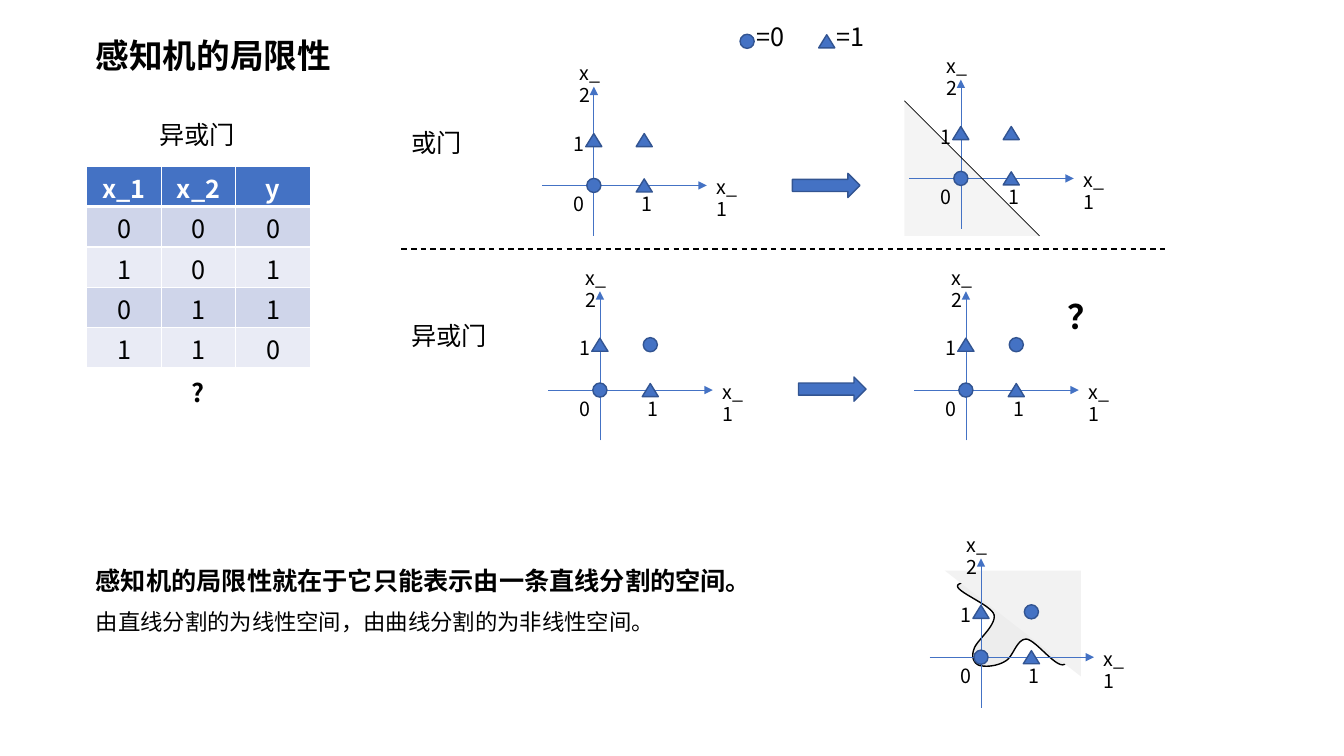
from dataclasses import dataclass
from typing import Any

from lxml import etree
from pptx import Presentation
from pptx.dml.color import RGBColor
from pptx.enum.dml import MSO_LINE
from pptx.enum.shapes import MSO_CONNECTOR, MSO_SHAPE
from pptx.enum.text import MSO_ANCHOR, MSO_AUTO_SIZE, PP_ALIGN
from pptx.oxml.ns import qn
from pptx.util import Inches, Pt

FONT = "Noto Sans CJK SC"
COLORS = {"blue": "4472C4", "edge": "325491", "black": "000000", "white": "FFFFFF",
          "band": "CFD5EA", "pale": "E9EBF5", "shade": "F2F2F2", "curve": "EDEDED"}
CIRCLE, TRIANGLE = MSO_SHAPE.OVAL, MSO_SHAPE.ISOSCELES_TRIANGLE
CORNER, ARROW = MSO_SHAPE.RIGHT_TRIANGLE, MSO_SHAPE.RIGHT_ARROW
STRAIGHT, DASH = MSO_CONNECTOR.STRAIGHT, MSO_LINE.DASH
LEFT, CENTER, TOP = PP_ALIGN.LEFT, PP_ALIGN.CENTER, MSO_ANCHOR.TOP
NO_FIT = MSO_AUTO_SIZE.NONE
SIZES = {CIRCLE: (0.14, 0.14), TRIANGLE: (0.16, 0.13)}
UNIT_X, UNIT_Y = 0.5, 0.45


@dataclass
class Label:
    """A text and its box, in inches."""
    text: str
    left: float
    top: float
    width: float
    height: float = 0.4
    size: int = 18
    bold: bool = False


@dataclass
class Plot:
    """A gate drawn on two axes around an origin."""
    x: float
    y: float
    corner: Any  # marker at (1, 1)


AXIS_LABELS = [Label("x_1", 1.12, -0.17, 0.47), Label("x_2", -0.24, -1.3, 0.47),
               Label("1", -0.3, -0.6, 0.31), Label("0", -0.3, 0, 0.31),
               Label("1", 0.37, 0, 0.31)]
LABELS = [Label("异或门", 1.48, 1.13, 0.96), Label("?", 1.8, 3.69, 0.31, bold=True),
          Label("或门", 3.98, 1.21, 0.71), Label("异或门", 3.98, 3.13, 0.96)]
LEGEND = [Label("=0", 7.41, 0.16, 0.5), Label("=1", 8.2, 0.16, 0.5)]
TRUTH_TABLE = ["x_1 x_2 y", "0 0 0", "1 0 1", "0 1 1", "1 1 0"]
CURVE_START = (9.52, 5.79)
CURVE = [((9.39, 5.84), (9.83, 5.99), (9.86, 6.1)), ((9.88, 6.21), (9.68, 6.36), (9.66, 6.44)),
         ((9.63, 6.52), (9.66, 6.58), (9.71, 6.6)), ((9.77, 6.62), (9.89, 6.61), (9.97, 6.56)),
         ((10.05, 6.52), (10.08, 6.34), (10.18, 6.34)), ((10.28, 6.35), (10.5, 6.67), (10.57, 6.58)),
         ((10.64, 6.49), (10.77, 5.95), (10.6, 5.82)), ((10.42, 5.69), (9.64, 5.74), CURVE_START)]


def rgb(name: str) -> RGBColor:
    """Look up a colour."""
    return RGBColor.from_string(COLORS[name])


def apply(target: Any, values: dict[str, Any]) -> None:
    """Set attributes from a dict of values."""
    for name, value in values.items():
        setattr(target, name, value)


def write(para: Any, text: str, size: int, bold: bool = False, color: str = "black",
          align: Any = LEFT, spacing: Any = None) -> None:
    """Fill a paragraph with one formatted span."""
    apply(para, {"alignment": align, "line_spacing": spacing, "space_before": Pt(0)})
    span = para.add_run()
    span.text = text
    apply(span.font, {"size": Pt(size), "bold": bold, "name": FONT})
    span.font.color.rgb = rgb(color)
    etree.SubElement(span.font._element, qn("a:ea")).set("typeface", FONT)


def place(box: Any, left: float, top: float, width: float, height: float) -> None:
    """Move and size a box."""
    apply(box, {"left": Inches(left), "top": Inches(top),
                "width": Inches(width), "height": Inches(height)})


def add_label(shapes: Any, label: Label) -> None:
    """Add one line of text."""
    box = shapes.add_textbox(0, 0, 0, 0)
    place(box, label.left, label.top, label.width, label.height)
    box.text_frame.word_wrap = False
    write(box.text_frame.paragraphs[0], label.text, label.size, label.bold)


def add_axis_label(shapes: Any, label: Label, plot: Plot) -> None:
    """Add a small wrapping label beside an axis."""
    box = shapes.add_textbox(0, 0, 0, 0)
    place(box, plot.x + label.left, plot.y + label.top, label.width, 0.34)
    apply(box.text_frame, {"word_wrap": True, "margin_top": Inches(0.08)})
    write(box.text_frame.paragraphs[0], label.text, 14, spacing=Pt(15.7))


def paint(shape: Any, fill: str, edge: str | None = None) -> None:
    """Give a shape its fill and outline."""
    shape.shadow.inherit = False
    shape.fill.solid()
    shape.fill.fore_color.rgb = rgb(fill)
    if edge:
        shape.line.color.rgb = rgb(edge)
        shape.line.width = Pt(1)
    else:
        shape.line.fill.background()


def add_preset(shapes: Any, kind: Any, left: float, top: float, width: float, height: float,
               fill: str = "blue", edge: str | None = "edge") -> Any:
    """Add a painted preset shape."""
    shape = shapes.add_shape(kind, Inches(left), Inches(top), Inches(width), Inches(height))
    paint(shape, fill, edge)
    return shape


def add_marker(shapes: Any, kind: Any, x: float, y: float) -> None:
    """Add a marker centred on a point."""
    width, height = SIZES[kind]
    add_preset(shapes, kind, x - width / 2, y - height / 2, width, height)


def add_line(shapes: Any, x1: float, y1: float, x2: float, y2: float,
             color: str = "black", width: float = 0.5, arrow: bool = False) -> Any:
    """Add a straight line, with an arrowhead if asked."""
    line = shapes.add_connector(STRAIGHT, Inches(x1), Inches(y1), Inches(x2), Inches(y2))
    line.line.color.rgb = rgb(color)
    line.line.width = Pt(width)
    if arrow:
        etree.SubElement(line.line._get_or_add_ln(), qn("a:tailEnd")).set("type", "triangle")
    etree.SubElement(line._element.spPr, qn("a:effectLst"))
    return line


def add_plot(shapes: Any, plot: Plot) -> None:
    """Draw axes, four markers and labels."""
    x, y = plot.x, plot.y
    add_line(shapes, x - 0.51, y, x + 1.12, y, "blue", arrow=True)
    add_line(shapes, x, y + 0.5, x, y - 0.98, "blue", arrow=True)
    for kind, column, row in [(CIRCLE, 0, 0), (TRIANGLE, 0, 1), (TRIANGLE, 1, 0), (plot.corner, 1, 1)]:
        add_marker(shapes, kind, x + column * UNIT_X, y - row * UNIT_Y)
    for label in AXIS_LABELS:
        add_axis_label(shapes, label, plot)


def add_curve(shapes: Any, steps: int = 16) -> None:
    """Draw the closed curve from sampled cubic segments."""
    points, start = [], CURVE_START
    for segment in CURVE:
        for step in range(1, steps + 1):
            t = step / steps
            weights = ((1 - t) ** 3, 3 * t * (1 - t) ** 2, 3 * t * t * (1 - t), t ** 3)
            corners = (start, *segment)
            points.append(tuple(Inches(sum(w * c[axis] for w, c in zip(weights, corners)))
                                for axis in (0, 1)))
        start = segment[-1]
    builder = shapes.build_freeform(*map(Inches, CURVE_START))
    builder.add_line_segments(points, close=True)
    paint(builder.convert_to_shape(), "curve", "black")


def add_truth_table(shapes: Any) -> None:
    """Add the banded truth table with white borders."""
    rows, columns = len(TRUTH_TABLE), 3
    table = shapes.add_table(rows, columns, Inches(0.86), Inches(1.65),
                             Inches(0.74 * columns), Inches(0.4 * rows)).table
    for i, line in enumerate(TRUTH_TABLE):
        fill = "blue" if i == 0 else "band" if i % 2 else "pale"
        for j, text in enumerate(line.split()):
            cell = table.cell(i, j)
            apply(cell, {"margin_top": Inches(0.03), "margin_bottom": 0})
            write(cell.text_frame.paragraphs[0], text, 18, i == 0, "black" if i else "white", CENTER)
            for side in ("lnL", "lnR", "lnT", "lnB"):
                heavy = (i == 0 and side == "lnB") or (i == 1 and side == "lnT")
                border = etree.SubElement(cell._tc.get_or_add_tcPr(), qn(f"a:{side}"))
                border.set("w", str(Pt(3 if heavy else 1)))
                solid = etree.SubElement(border, qn("a:solidFill"))
                etree.SubElement(solid, qn("a:srgbClr")).set("val", COLORS["white"])
            cell.fill.solid()
            cell.fill.fore_color.rgb = rgb(fill)


deck = Presentation()
apply(deck, {"slide_width": Inches(13.33), "slide_height": Inches(7.5)})
page = deck.slides.add_slide(deck.slide_layouts[1])
title, body = page.placeholders
for box, bounds in [(title, (0.85, 0.3, 3.62, 0.5)), (body, (0.85, 5.47, 7.2, 0.92))]:
    place(box, *bounds)
    apply(box.text_frame, {"word_wrap": True, "auto_size": NO_FIT, "vertical_anchor": TOP})
write(title.text_frame.paragraphs[0], "感知机的局限性", 24, True)
body.text_frame.add_paragraph()
conclusions = [("感知机的局限性就在于它只能表示由一条直线分割的空间。", 18, True),
               ("由直线分割的为线性空间，由曲线分割的为非线性空间。", 16, False)]
for para, (text, size, bold) in zip(body.text_frame.paragraphs, conclusions):
    write(para, text, size, bold, spacing=Pt(28))
    properties = para._p.get_or_add_pPr()
    properties.set("marL", "0")
    properties.set("indent", "0")
    etree.SubElement(properties, qn("a:buNone"))

add_truth_table(page.shapes)
for label in LABELS:
    add_label(page.shapes, label)
or_gate, or_split, xor_gate, xor_open, xor_split = [
    page.shapes.add_group_shape().shapes for _ in range(5)]
add_plot(or_gate, Plot(5.89, 1.84, TRIANGLE))
half = add_preset(or_split, CORNER, 8.97, 1, 1.34, 1.34, "shade", None)
tint = half._element.spPr.find(f".//{qn('a:srgbClr')}")
etree.SubElement(tint, qn("a:alpha")).set("val", "80000")
add_plot(or_split, Plot(9.53, 1.77, TRIANGLE))
add_line(or_split, 8.97, 1, 10.31, 2.34)
add_plot(xor_gate, Plot(5.95, 3.87, CIRCLE))
add_plot(xor_open, Plot(9.58, 3.87, CIRCLE))
add_label(xor_open, Label("？", 10.49, 2.89, 0.54, 0.5, 24, True))
add_curve(xor_split)
add_preset(xor_split, CORNER, 9.37, 5.66, 1.35, 1.05, "shade", None).rotation = 180
add_plot(xor_split, Plot(9.73, 6.52, CIRCLE))
for left, top in [(7.86, 1.72), (7.92, 3.74)]:
    add_preset(page.shapes, ARROW, left, top, 0.67, 0.24)
add_line(page.shapes, 3.98, 2.47, 11.59, 2.47, width=1).line.dash_style = DASH
legend = page.shapes.add_group_shape().shapes
for kind, label in zip((CIRCLE, TRIANGLE), LEGEND):
    add_marker(legend, kind, label.left, 0.41)
    add_label(legend, label)

deck.save("out.pptx")
